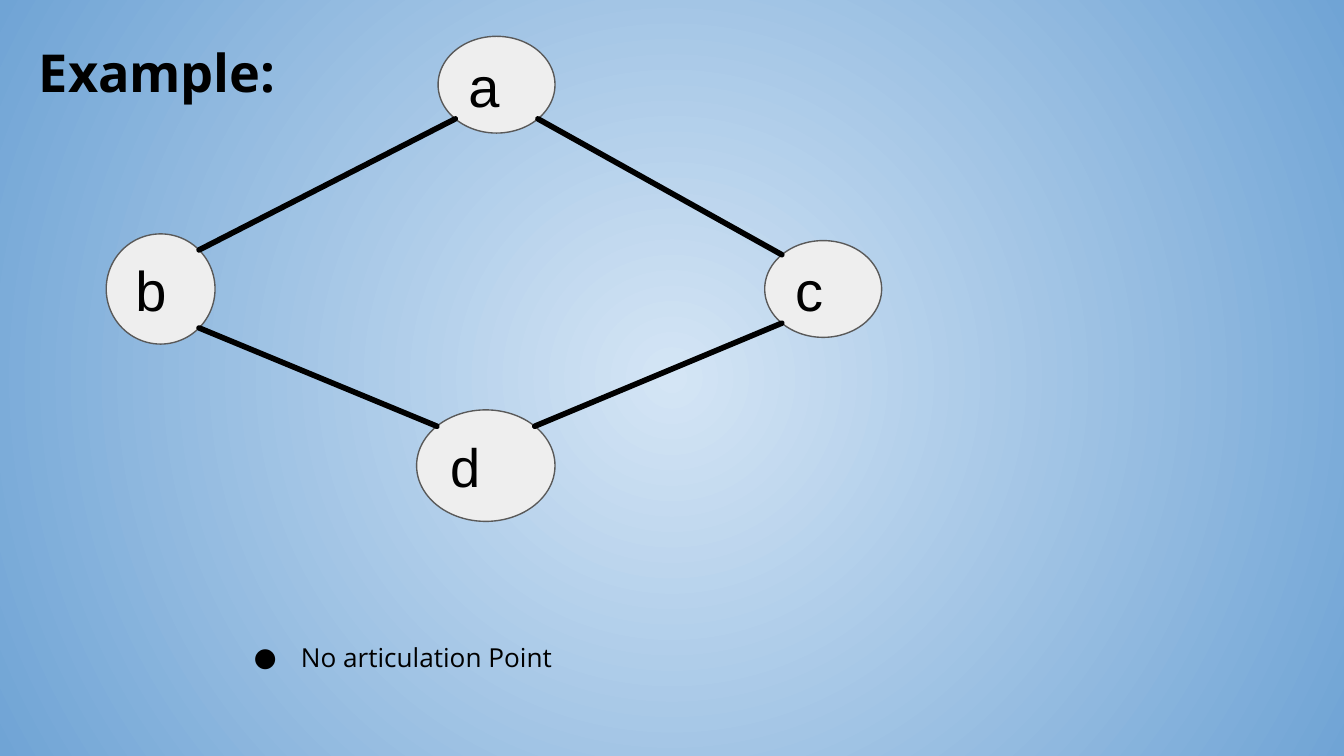
from math import sqrt

from lxml import etree
from pptx import Presentation
from pptx.dml.color import RGBColor
from pptx.enum.shapes import MSO_CONNECTOR, MSO_SHAPE
from pptx.enum.text import MSO_ANCHOR, MSO_AUTO_SIZE, PP_ALIGN
from pptx.oxml import parse_xml
from pptx.oxml.ns import nsdecls, qn
from pptx.util import Inches, Pt

STRAIGHT = MSO_CONNECTOR.STRAIGHT
NODE_SHAPE = MSO_SHAPE.FLOWCHART_CONNECTOR
MIDDLE, TOP = MSO_ANCHOR.MIDDLE, MSO_ANCHOR.TOP
LEFT = PP_ALIGN.LEFT
FIT_SHAPE = MSO_AUTO_SIZE.SHAPE_TO_FIT_TEXT

BLACK = RGBColor(0x00, 0x00, 0x00)
NODE_FILL = RGBColor(0xEE, 0xEE, 0xEE)
NODE_LINE = RGBColor(0x59, 0x59, 0x59)
GLOW = RGBColor(0xD4, 0xE5, 0xF5)
EDGE_BLUE = RGBColor(0x70, 0xA4, 0xD5)

WIDTH = 10
HEIGHT = WIDTH * 9 / 16
INSET = 0.1

TITLE = "Example:"
TITLE_BOX = (0.19, 0.2, 2.01, 0.67)
FINDING = "No articulation Point"
FINDING_BOX = (1.64, 4.67, 8.12, 0.44)

# name: (left, top, width, height), text size
NODES = {
    "a": ((3.26, 0.27, 0.87, 0.72), 30),
    "b": ((0.79, 1.74, 0.81, 0.82), 30),
    "c": ((5.69, 1.79, 0.87, 0.72), 30),
    "d": ((3.1, 3.05, 1.03, 0.83), 29),
}
EDGES = [("b", "d"), ("b", "a"), ("a", "c"), ("c", "d")]


def paint_background(page):
    fill = page.background.fill
    fill.gradient()
    for stop, color in zip(fill.gradient_stops, (GLOW, EDGE_BLUE)):
        stop.color.rgb = color
    gradient = page.element.find(".//" + qn("a:gradFill"))
    radial = parse_xml(
        f'<a:path {nsdecls("a")} path="circle">'
        '<a:fillToRect l="50000" t="50000" r="50000" b="50000"/></a:path>')
    gradient.replace(gradient.find(qn("a:lin")), radial)


def write(shape, text, size, font, anchor, bold=False, bullet=False):
    frame = shape.text_frame
    frame.word_wrap = True
    frame.vertical_anchor = anchor
    frame.margin_left = frame.margin_right = Inches(INSET)
    frame.margin_top = frame.margin_bottom = Inches(INSET)
    para = frame.paragraphs[0]
    para.text = text
    para.alignment = LEFT
    if bullet:
        add_bullet(para, size, font)
    para.font.size = Pt(size)
    para.font.name = font
    para.font.bold = bold
    para.font.color.rgb = BLACK


def add_bullet(para, size, font):
    properties = para._p.get_or_add_pPr()
    properties.set("marL", str(Inches(0.5)))
    properties.set("indent", str(Inches(-0.35)))
    color = etree.SubElement(properties, qn("a:buClr"))
    etree.SubElement(color, qn("a:srgbClr"), val=str(BLACK))
    etree.SubElement(properties, qn("a:buSzPts"), val=str(size * 100))
    etree.SubElement(properties, qn("a:buFont"), typeface=font)
    etree.SubElement(properties, qn("a:buChar"), char="●")


def add_node(page, name, place, size):
    node = page.shapes.add_shape(NODE_SHAPE, *map(Inches, place))
    node.shadow.inherit = False
    node.fill.solid()
    node.fill.fore_color.rgb = NODE_FILL
    node.line.color.rgb = NODE_LINE
    node.line.width = Pt(0.75)
    write(node, name, size, "Arial", MIDDLE)


def center(place):
    left, top, width, height = place
    return left + width / 2, top + height / 2


def diagonal_point(place, target):
    """Point on the node's rim, at 45 degrees, on the side of the target node."""
    x, y = center(place)
    target_x, target_y = center(target)
    reach_x, reach_y = place[2] / sqrt(8), place[3] / sqrt(8)
    return (x + reach_x if target_x > x else x - reach_x,
            y + reach_y if target_y > y else y - reach_y)


def add_edge(page, start, end):
    ends = diagonal_point(start, end) + diagonal_point(end, start)
    edge = page.shapes.add_connector(STRAIGHT, *map(Inches, ends))
    edge.line.color.rgb = BLACK
    edge.line.width = Pt(3)
    properties = edge._element.spPr
    properties.find(qn("a:ln")).set("cap", "rnd")
    etree.SubElement(properties, qn("a:effectLst"))


def add_text(page, place, text, size, **style):
    box = page.shapes.add_textbox(*map(Inches, place))
    write(box, text, size, "Open Sans", TOP, **style)
    box.text_frame.auto_size = FIT_SHAPE


def main():
    deck = Presentation()
    deck.slide_width, deck.slide_height = Inches(WIDTH), Inches(HEIGHT)
    page = deck.slides.add_slide(deck.slide_layouts[6])
    paint_background(page)
    for name, (place, size) in NODES.items():
        add_node(page, name, place, size)
    for start, end in EDGES:
        add_edge(page, NODES[start][0], NODES[end][0])
    add_text(page, FINDING_BOX, FINDING, 14, bullet=True)
    add_text(page, TITLE_BOX, TITLE, 28, bold=True)
    deck.save("out.pptx")


if __name__ == "__main__":
    main()
